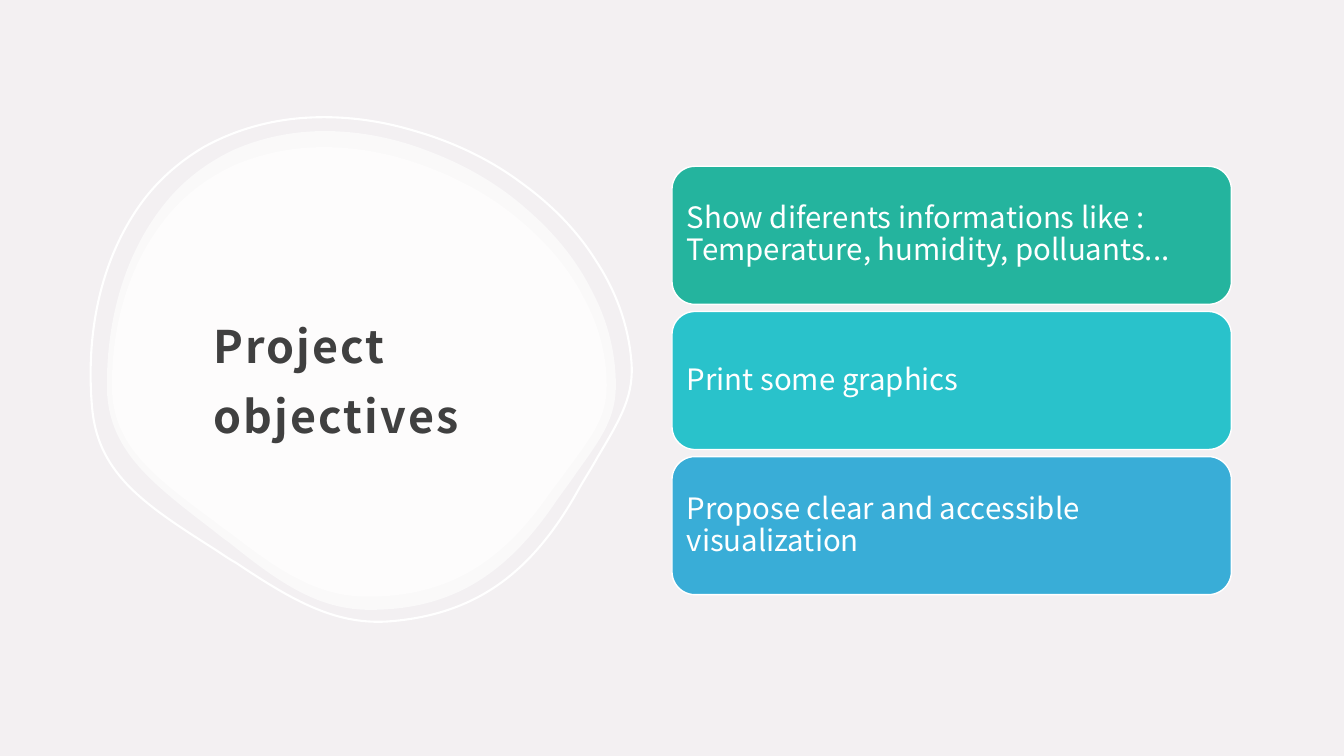
import pptx
import pptx.dml.color
import pptx.enum.shapes
import pptx.enum.text
import pptx.oxml
import pptx.oxml.ns
import pptx.util
from pptx.util import Inches, Pt

TITLE = "Project objectives"
OBJECTIVES = [
    ("Show diferents informations like : Temperature, humidity, polluants...", "24B49E"),
    ("Print some graphics", "29C2CB"),
    ("Propose clear and accessible visualization", "39ADD7"),
]
THEME = {
    "font": "Noto Sans CJK JP",
    "background": "F3F0F2",
    "white": "FFFFFF",
    "title_color": "404040",
    "title_size": 32,
    "card_size": 21,
}

BLOB_FRAME = (1.06, 1.3, 5.05, 4.75)
BLOB_START = (3.22, 1.3)
BLOB_CURVES = [
    ((2.89, 1.3), (2.58, 1.37), (2.31, 1.49)),
    ((2.06, 1.61), (1.83, 1.78), (1.65, 2)),
    ((1.27, 2.46), (1.06, 3.1), (1.06, 3.82)),
    ((1.06, 4.1), (1.14, 4.33), (1.32, 4.56)),
    ((1.51, 4.8), (1.8, 5.02), (2.1, 5.25)),
    ((2.15, 5.29), (2.21, 5.34), (2.27, 5.38)),
    ((2.78, 5.79), (3.16, 6.05), (3.67, 6.05)),
    ((4.45, 6.05), (5.01, 5.73), (5.52, 4.97)),
    ((5.59, 4.87), (5.66, 4.78), (5.72, 4.69)),
    ((5.98, 4.33), (6.11, 4.14), (6.11, 3.82)),
    ((6.11, 3.5), (6.03, 3.18), (5.87, 2.88)),
    ((5.72, 2.58), (5.5, 2.31), (5.22, 2.07)),
    ((4.95, 1.83), (4.62, 1.64), (4.28, 1.51)),
    ((3.93, 1.37), (3.57, 1.3), (3.22, 1.3)),
]
BLOBS = [
    {"frame": BLOB_FRAME, "opacity": 60},
    {"frame": (1.11, 1.46, 4.91, 4.46), "opacity": 60},
    {"frame": (0.89, 1.13, 5.37, 5.05), "line_width": 1.5, "rotation": 355},
]
SLIDE_WIDTH, SLIDE_HEIGHT = 40 / 3, 7.5
CARD_LEFT, CARD_TOP, CARD_WIDTH, CARD_HEIGHT = SLIDE_WIDTH / 2, 1.65, 5.55, 1.37
CARD_PITCH = 1.44


def color(name):
    return pptx.dml.color.RGBColor.from_string(THEME.get(name, name))


def fit_point(point, frame):
    left, top, width, height = frame
    base_left, base_top, base_width, base_height = BLOB_FRAME
    x = left + (point[0] - base_left) * width / base_width
    y = top + (point[1] - base_top) * height / base_height
    return Inches(x), Inches(y)


def add_blob(slide, frame, opacity=None, line_width=None, rotation=0):
    curves = [[fit_point(point, frame) for point in curve] for curve in BLOB_CURVES]
    builder = slide.shapes.build_freeform(*fit_point(BLOB_START, frame))
    builder.add_line_segments([curve[-1] for curve in curves], close=True)
    shape = builder.convert_to_shape()
    namespace = pptx.oxml.ns.nsdecls("a")
    lines = shape._element.spPr.findall(".//" + pptx.oxml.ns.qn("a:lnTo"))
    for line, curve in zip(lines, curves):
        points = "".join(
            f'<a:pt x="{x - shape.left}" y="{y - shape.top}"/>' for x, y in curve)
        line.getparent().replace(line, pptx.oxml.parse_xml(
            f"<a:cubicBezTo {namespace}>{points}</a:cubicBezTo>"))
    shape.rotation = rotation
    shape.shadow.inherit = False
    if opacity is None:
        shape.fill.background()
    else:
        shape.fill.solid()
        shape.fill.fore_color.rgb = color("white")
        fill_color = shape._element.spPr.find(".//" + pptx.oxml.ns.qn("a:srgbClr"))
        fill_color.append(pptx.oxml.parse_xml(
            f'<a:alpha {namespace} val="{opacity * 1000}"/>'))
    if line_width is None:
        shape.line.fill.background()
    else:
        shape.line.color.rgb = color("white")
        shape.line.width = Pt(line_width)


def write_text(shape, text, size, text_color, spacing, insets, bold=False):
    frame = shape.text_frame
    frame.word_wrap = True
    frame.vertical_anchor = pptx.enum.text.MSO_ANCHOR.MIDDLE
    frame.margin_left, frame.margin_top, frame.margin_right, frame.margin_bottom = map(Inches, insets)
    paragraph = frame.paragraphs[0]
    paragraph.alignment = pptx.enum.text.PP_ALIGN.LEFT
    paragraph.line_spacing = spacing
    run = paragraph.add_run()
    run.text = text
    font = paragraph.font
    font.name = THEME["font"]
    font.size = Pt(THEME[size])
    font.bold = bold
    font.color.rgb = color(text_color)
    return run


def add_title(slide):
    box = slide.shapes.add_textbox(Inches(2), Inches(2.08), Inches(3.62), Inches(3.21))
    run = write_text(box, TITLE, "title_size", "title_color", 1.3, (0.12, 0.12, 0.12, 0.1), bold=True)
    run._r.get_or_add_rPr().set("spc", "150")


def add_card(slide, index, text, fill):
    card = slide.shapes.add_shape(
        pptx.enum.shapes.MSO_SHAPE.ROUNDED_RECTANGLE,
        Inches(CARD_LEFT), Inches(CARD_TOP + index * CARD_PITCH),
        Inches(CARD_WIDTH), Inches(CARD_HEIGHT))
    card.shadow.inherit = False
    card.fill.solid()
    card.fill.fore_color.rgb = color(fill)
    card.line.color.rgb = color("white")
    card.line.width = Pt(1)
    write_text(card, text, "card_size", "white", 0.9, (0.08, 0.09, 0.09, 0.09))


def main():
    presentation = pptx.Presentation()
    presentation.slide_width = Inches(SLIDE_WIDTH)
    presentation.slide_height = Inches(SLIDE_HEIGHT)
    slide = presentation.slides.add_slide(presentation.slide_layouts[6])
    slide.background.fill.solid()
    slide.background.fill.fore_color.rgb = color("background")
    for blob in BLOBS:
        add_blob(slide, **blob)
    add_title(slide)
    for index, (text, fill) in enumerate(OBJECTIVES):
        add_card(slide, index, text, fill)
    presentation.save("out.pptx")


if __name__ == "__main__":
    main()
